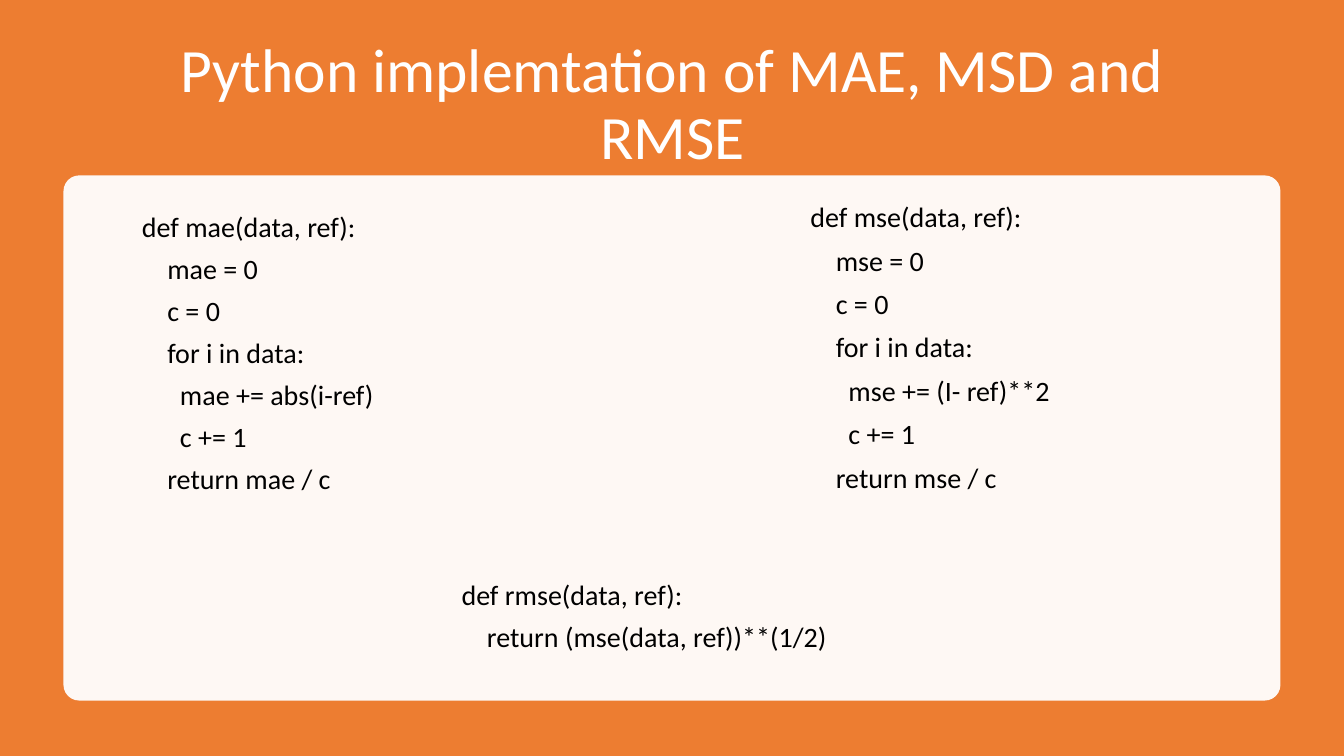
"""Build a slide with Python code for the MAE, MSE and RMSE error measures."""
from lxml import etree
from pptx import Presentation
from pptx.dml.color import RGBColor
from pptx.enum.shapes import MSO_SHAPE
from pptx.enum.text import MSO_ANCHOR, MSO_AUTO_SIZE, PP_ALIGN
from pptx.oxml.ns import qn
from pptx.util import Inches, Pt

RECTANGLE, ROUNDED = MSO_SHAPE.RECTANGLE, MSO_SHAPE.ROUNDED_RECTANGLE
CENTER, LEFT = PP_ALIGN.CENTER, PP_ALIGN.LEFT
MIDDLE, TOP = MSO_ANCHOR.MIDDLE, MSO_ANCHOR.TOP
NO_FIT = MSO_AUTO_SIZE.NONE
COLORS = {"orange": "ED7D31", "white": "FFFFFF", "black": "000000"}
FONT = "Calibri"
SPACE_WIDTH = 4.52


def write_text(shape, lines, size=20, color="black", align=LEFT, anchor=TOP,
               line_spacing=1.0, before=0, after=0):
    """Write (indent, text) lines, with the indent counted in characters."""
    frame = shape.text_frame
    frame.word_wrap = True
    frame.auto_size = NO_FIT
    frame.vertical_anchor = anchor
    for index, (indent, text) in enumerate(lines):
        paragraph = frame.paragraphs[0] if index == 0 else frame.add_paragraph()
        paragraph.alignment = align
        paragraph.line_spacing = line_spacing
        paragraph.space_before = Pt(before)
        paragraph.space_after = Pt(after)
        properties = paragraph._p.get_or_add_pPr()
        properties.set("marL", str(Pt(indent * SPACE_WIDTH)))
        properties.set("indent", "0")
        run = paragraph.add_run()
        run.text = text
        run.font.name = FONT
        run.font.size = Pt(size)
        run.font.color.rgb = RGBColor.from_string(COLORS[color])


def add_panel(slide, kind, box, color):
    """Add a plain filled shape without outline or shadow."""
    panel = slide.shapes.add_shape(kind, *map(Inches, box))
    panel.shadow.inherit = False
    panel.fill.solid()
    panel.fill.fore_color.rgb = RGBColor.from_string(COLORS[color])
    panel.line.fill.background()
    return panel


presentation = Presentation()
presentation.slide_width = Inches(13.33)
presentation.slide_height = Inches(7.5)
slide = presentation.slides.add_slide(presentation.slide_layouts[5])

background = add_panel(slide, RECTANGLE, (0, 0, 13.33, 7.5), "orange")
title = slide.shapes.title
title.element.addprevious(background.element)
title.left, title.top, title.width, title.height = map(Inches, (0.92, 0.5, 11.5, 1.1))
write_text(title, [(0, "Python implemtation of MAE, MSD and RMSE")], size=44,
           color="white", align=CENTER, anchor=MIDDLE, line_spacing=0.9)

card = add_panel(slide, ROUNDED, (0.63, 1.74, 12.07, 5.21), "white")
card.adjustments[0] = 0.03
card_color = card.element.spPr.find(qn("a:solidFill"))[0]
etree.SubElement(card_color, qn("a:alpha")).set("val", "95000")

loose = {"after": 6}
tight = {"line_spacing": 0.9, "before": 9.4}
code_blocks = [
    ((1.31, 2.03, 4.08, 3.81), loose, [
        (0, "def mae(data, ref):"), (4, "mae = 0"), (4, "c = 0"),
        (4, "for i in data:"), (6, "mae += abs(i-ref)"), (6, "c += 1"),
        (4, "return mae / c")]),
    ((7.94, 1.97, 4.08, 2.98), tight, [
        (0, "def mse(data, ref):"), (4, "mse = 0"), (4, "c = 0"),
        (4, "for i in data:"), (6, "mse += (I- ref)**2"), (6, "c += 1"),
        (4, "return mse / c")]),
    ((4.48, 5.68, 4.37, 0.86), loose, [
        (0, "def rmse(data, ref):"), (4, "return (mse(data, ref))**(1/2)")]),
]
for box, spacing, lines in code_blocks:
    code_box = slide.shapes.add_textbox(*map(Inches, box))
    write_text(code_box, lines, **spacing)

presentation.save("out.pptx")
